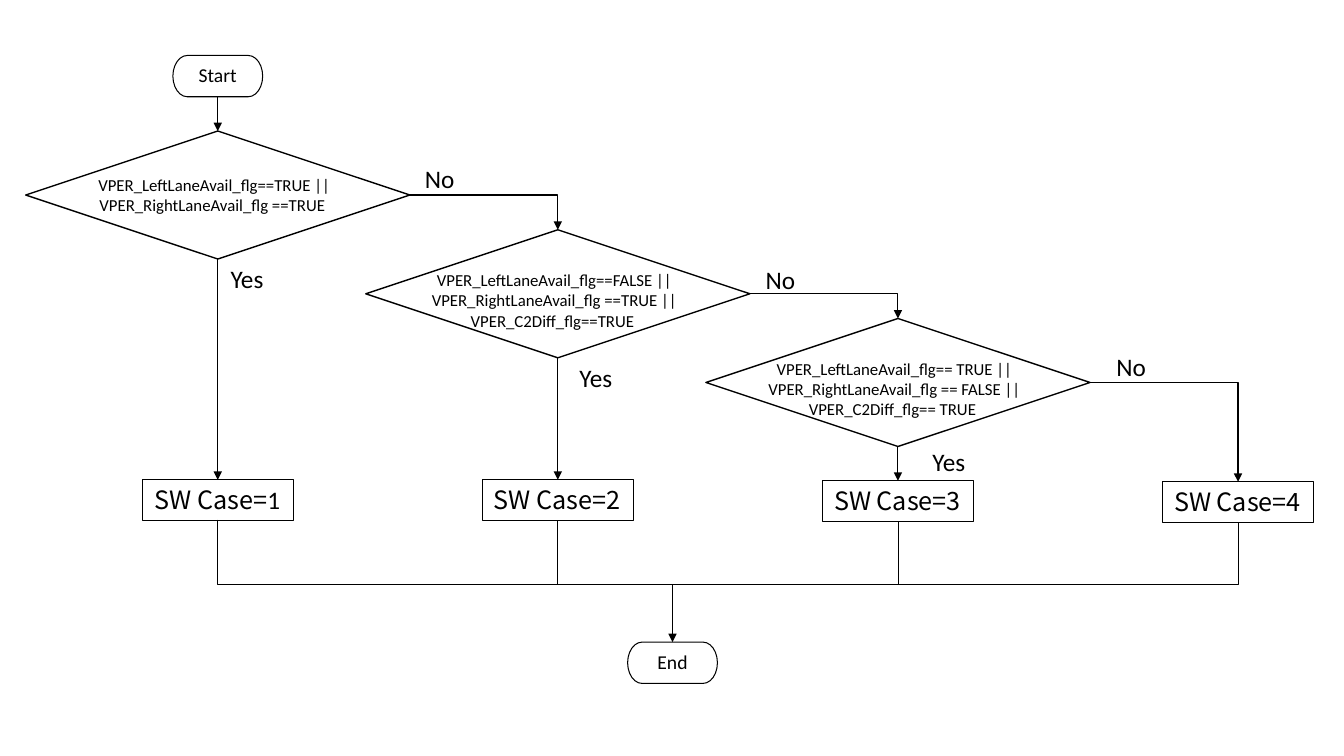
"""Build a flowchart slide that selects one of four software cases."""
from lxml import etree
from pptx import Presentation
from pptx.dml.color import RGBColor
from pptx.enum.shapes import MSO_CONNECTOR, MSO_SHAPE
from pptx.enum.text import MSO_AUTO_SIZE, PP_ALIGN
from pptx.oxml.ns import qn
from pptx.util import Inches, Pt

STRAIGHT, ELBOW = MSO_CONNECTOR.STRAIGHT, MSO_CONNECTOR.ELBOW
DECISION = MSO_SHAPE.FLOWCHART_DECISION
PROCESS = MSO_SHAPE.FLOWCHART_PROCESS
TERMINATOR = MSO_SHAPE.FLOWCHART_TERMINATOR
CENTER = PP_ALIGN.CENTER
FIT = MSO_AUTO_SIZE.SHAPE_TO_FIT_TEXT

COLORS = {"ink": "000000"}
LATIN, CASE_FONT = "Calibri", "Noto Sans CJK SC"

DECISIONS = [
    {"top": 1.3, "text_top": 1.68, "yes": (2.18, 2.56), "no": (4.09, 1.57),
     "lines": ["VPER_LeftLaneAvail_flg==TRUE ||",
               "VPER_RightLaneAvail_flg ==TRUE "]},
    {"top": 2.28, "text_top": 2.63, "yes": (5.64, 3.55), "no": (7.47, 2.57),
     "lines": ["VPER_LeftLaneAvail_flg==FALSE ||",
               "VPER_RightLaneAvail_flg ==TRUE ||",
               "VPER_C2Diff_flg==TRUE "]},
    {"top": 3.16, "text_top": 3.51, "yes": (9.14, 4.38), "no": (10.95, 3.44),
     "lines": ["VPER_LeftLaneAvail_flg== TRUE ||",
               "VPER_RightLaneAvail_flg == FALSE ||",
               "VPER_C2Diff_flg== TRUE "]},
]
CASES = [
    {"top": 4.76, "spans": [("SW Case=", CASE_FONT), ("1", LATIN)]},
    {"top": 4.76, "spans": [("SW Case=2", CASE_FONT)]},
    {"top": 4.77, "spans": [("SW Case=3", CASE_FONT)]},
    {"top": 4.78, "spans": [("SW Case=4", CASE_FONT)]},
]
TERMINALS = [("Start", 2.16, 0.55), ("End", 6.67, 6.37)]

COLUMNS = [2.16 + 3.373 * index for index in range(len(CASES))]
DECISION_WIDTH, DECISION_HEIGHT = 3.81, 1.27
CASE_WIDTH, CASE_HEIGHT = 1.5, 0.4
TERMINAL_WIDTH, TERMINAL_HEIGHT = 0.89, 0.41
MERGE_Y = 5.8

deck = Presentation()
deck.slide_width, deck.slide_height = Inches(13.33), Inches(7.5)
page = deck.slides.add_slide(deck.slide_layouts[6])


def add_text(lines, left, top, width, height, size=18):
    """Add centred lines, each a list of (text, font) spans."""
    box = page.shapes.add_textbox(*map(Inches, (left, top, width, height)))
    frame = box.text_frame
    frame.word_wrap = False
    frame.auto_size = FIT
    for index, spans in enumerate(lines):
        para = frame.add_paragraph() if index else frame.paragraphs[0]
        para.alignment = CENTER
        for text, font in spans:
            span = para.add_run()
            span.text = text
            span.font.name = font
            span.font.size = Pt(size)
            span.font.color.rgb = RGBColor.from_string(COLORS["ink"])


def add_outline(kind, center, top, width, height, weight=0.75):
    """Add an unfilled flowchart shape centred on a column."""
    shape = page.shapes.add_shape(
        kind, *map(Inches, (center - width / 2, top, width, height)))
    shape.shadow.inherit = False
    shape.fill.background()
    shape.line.color.rgb = RGBColor.from_string(COLORS["ink"])
    shape.line.width = Pt(weight)


def add_link(start, end, kind=STRAIGHT, weight=0.75, arrow=True):
    """Add a connector, with an arrowhead at its end if wanted."""
    link = page.shapes.add_connector(kind, *map(Inches, (*start, *end)))
    link.line.color.rgb = RGBColor.from_string(COLORS["ink"])
    link.line.width = Pt(weight)
    if arrow:
        etree.SubElement(link.line._get_or_add_ln(), qn("a:tailEnd"), type="triangle")
    etree.SubElement(link._element.spPr, qn("a:effectLst"))
    return link


for text, center, top in TERMINALS:
    add_outline(TERMINATOR, center, top, TERMINAL_WIDTH, TERMINAL_HEIGHT)
    add_text([[(text, LATIN)]], center - 0.35, top + 0.025, 0.7, 0.34, size=14)

add_link((COLUMNS[0], 0.96), (COLUMNS[0], DECISIONS[0]["top"]))

next_tops = [decision["top"] for decision in DECISIONS[1:]] + [CASES[-1]["top"]]
for index, decision in enumerate(DECISIONS):
    center, top = COLUMNS[index], decision["top"]
    add_outline(DECISION, center, top, DECISION_WIDTH, DECISION_HEIGHT, weight=1)
    add_text([[(line, LATIN)] for line in decision["lines"]],
             center - 1.58, decision["text_top"], 3.09,
             0.1 + 0.2 * len(decision["lines"]), size=12)
    add_link((center, top + DECISION_HEIGHT), (center, CASES[index]["top"]))
    branch = add_link((center + DECISION_WIDTH / 2, top + DECISION_HEIGHT / 2),
                      (COLUMNS[index + 1], next_tops[index]), kind=ELBOW)
    branch._element.spPr.find(qn("a:prstGeom")).set("prst", "bentConnector2")
    for label, key in (("Yes", "yes"), ("No", "no")):
        add_text([[(label, LATIN)]], *decision[key], 0.54, 0.4)

for center, case in zip(COLUMNS, CASES):
    add_outline(PROCESS, center, case["top"], CASE_WIDTH, CASE_HEIGHT)
    add_text([case["spans"]], center - 0.88, case["top"], 1.75, 0.4)

for center, case in list(zip(COLUMNS, CASES))[1:-1]:
    add_link((center, case["top"] + CASE_HEIGHT), (center, MERGE_Y),
             weight=0.5, arrow=False)

merge_center = (COLUMNS[0] + COLUMNS[-1]) / 2
merge_middle, half_drop = 5.17, 0.015
half_span = (COLUMNS[-1] - COLUMNS[0]) / 2
merge = add_link((merge_center + half_drop, merge_middle - half_span),
                 (merge_center - half_drop, merge_middle + half_span),
                 kind=ELBOW, weight=0.5, arrow=False)
merge._element.spPr.find(qn("a:xfrm")).set("rot", str(270 * 60000))
bend = (MERGE_Y - merge_middle + half_drop) / (2 * half_drop)
guides = merge._element.spPr.find(qn("a:prstGeom")).find(qn("a:avLst"))
etree.SubElement(guides, qn("a:gd"), name="adj1", fmla=f"val {round(bend * 100000)}")

end_center, end_top = TERMINALS[1][1:]
add_link((end_center, MERGE_Y), (end_center, end_top), weight=0.5)

deck.save("out.pptx")
